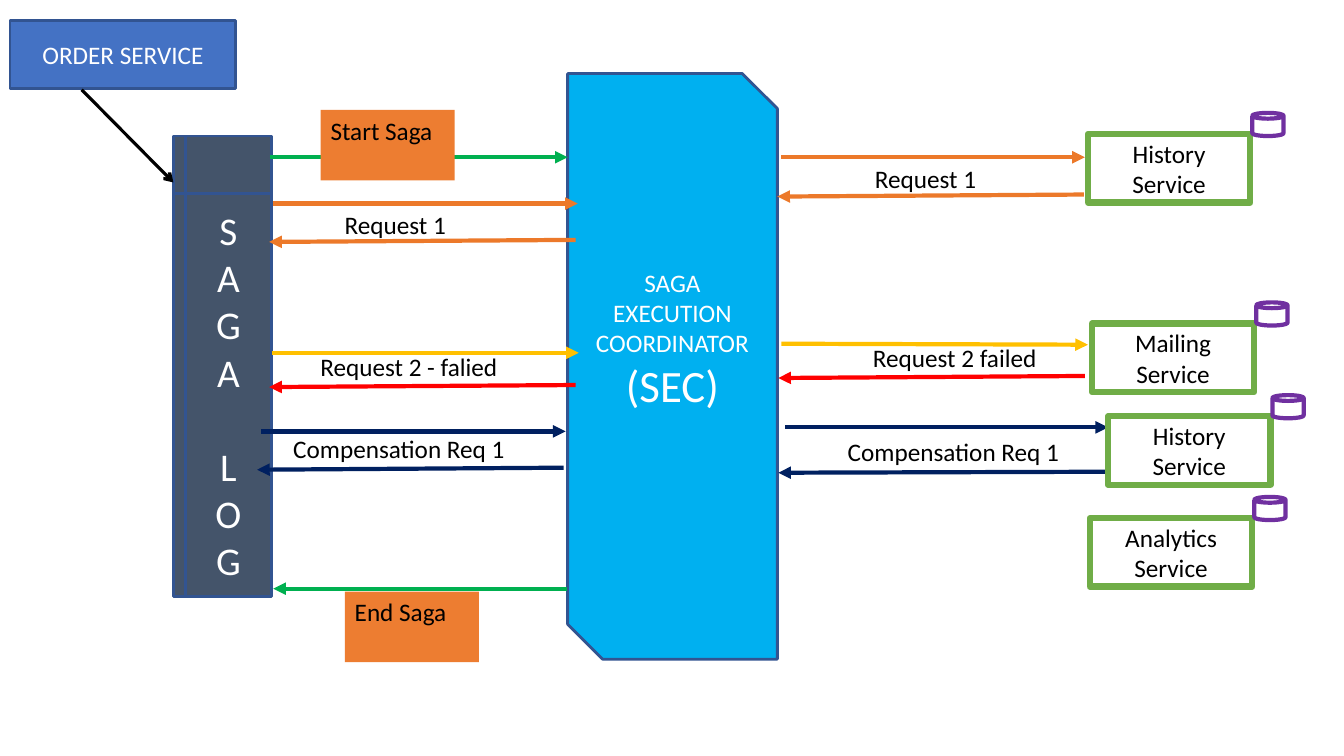
from dataclasses import dataclass
from lxml.etree import SubElement
from pptx import Presentation
from pptx.dml.color import RGBColor as Rgb
from pptx.enum.shapes import MSO_CONNECTOR as Link, MSO_SHAPE as Shape
from pptx.enum.text import MSO_ANCHOR as Anchor, PP_ALIGN as Align
from pptx.oxml.ns import qn
from pptx.util import Inches, Pt


@dataclass(frozen=True)
class Theme:
    font: str = "Calibri"
    body: int = 18
    large: int = 28
    huge: int = 32
    white: str = "FFFFFF"
    black: str = "000000"
    blue: str = "4472C4"
    edge: str = "325491"
    slate: str = "44546A"
    sky: str = "00B0F0"
    lime: str = "70AD47"
    violet: str = "7030A0"
    tag: str = "ED7D31"
    green: str = "00B050"
    orange: str = "EC792A"
    gold: str = "FFC000"
    red: str = "FF0000"
    navy: str = "002060"


class Board:
    def __init__(self, theme, slide):
        self.theme = theme
        self.shapes = slide.shapes

    def letter(self, shape, text, size, color, align, anchor):
        frame = shape.text_frame
        frame.word_wrap = True
        frame.vertical_anchor = anchor
        frame.text = text
        for par in frame.paragraphs:
            par.alignment = align
            for run in par.runs:
                run.font.name = self.theme.font
                run.font.size = Pt(size)
                run.font.color.rgb = Rgb.from_string(color)

    def box(self, kind, left, top, width, height, fill, edge=None, weight=2):
        shape = self.shapes.add_shape(
            kind, Inches(left), Inches(top), Inches(width), Inches(height))
        shape.shadow.inherit = False
        shape.fill.solid()
        shape.fill.fore_color.rgb = Rgb.from_string(fill)
        if edge:
            shape.line.color.rgb = Rgb.from_string(edge)
            shape.line.width = Pt(weight)
        else:
            shape.line.fill.background()
        return shape

    def block(self, kind, place, text, fill, size=None):
        shape = self.box(kind, *place, fill, self.theme.edge)
        self.letter(shape, text, size or self.theme.body, self.theme.white,
                    Align.CENTER, Anchor.MIDDLE)
        return shape

    def service(self, left, top, text):
        look = self.theme
        shape = self.box(Shape.RECTANGLE, left, top, 1.61, 0.68,
                         look.white, look.lime, 4.5)
        self.letter(shape, text, look.body, look.black, Align.CENTER, Anchor.MIDDLE)
        self.box(Shape.CAN, left + 1.63, top - 0.21, 0.31, 0.23,
                 look.white, look.violet, 3)

    def tag(self, left, top, text):
        look = self.theme
        shape = self.box(Shape.RECTANGLE, left, top, 1.33, 0.7, look.tag)
        self.letter(shape, text, look.body, look.black, Align.LEFT, Anchor.TOP)

    def label(self, left, top, width, text):
        shape = self.shapes.add_textbox(
            Inches(left), Inches(top), Inches(width), Inches(0.7))
        self.letter(shape, text, self.theme.body, self.theme.black,
                    Align.LEFT, Anchor.TOP)

    def arrow(self, x1, y1, x2, y2, color, weight=3, head="triangle"):
        line = self.shapes.add_connector(
            Link.STRAIGHT, Inches(x1), Inches(y1), Inches(x2), Inches(y2))
        line.line.color.rgb = Rgb.from_string(color)
        line.line.width = Pt(weight)
        props = line.element.spPr
        SubElement(props.find(qn("a:ln")), qn("a:tailEnd"), type=head)
        SubElement(props, qn("a:effectLst"))


def main():
    deck = Presentation()
    deck.slide_width, deck.slide_height = Inches(13.33), Inches(7.5)
    look = Theme()
    board = Board(look, deck.slides.add_slide(deck.slide_layouts[6]))

    board.block(Shape.RECTANGLE, (0.1, 0.2, 2.24, 0.68), "ORDER SERVICE", look.blue)
    log = board.block(Shape.FLOWCHART_INTERNAL_STORAGE, (1.72, 1.35, 0.97, 4.57),
                      "\n".join("SAGALOG"), look.slate, look.large)
    log.text_frame.paragraphs[4].space_before = Pt(34)

    sec = board.block(Shape.SNIP_2_DIAG_RECTANGLE, (5.63, 0.73, 2.08, 5.81),
                      "SAGA\nEXECUTION\nCOORDINATOR\n(SEC)", look.sky)
    sec.adjustments[0], sec.adjustments[1] = 0, 0.167
    sec.text_frame.margin_bottom = Inches(0.59)
    sec.text_frame.paragraphs[-1].runs[0].font.size = Pt(look.huge)

    for flow in (
        (2.68, 1.56, 5.63, 1.56, look.green),
        (2.71, 2.02, 5.73, 2.02, look.orange),
        (5.71, 2.38, 2.67, 2.4, look.orange),
        (2.7, 3.5, 5.74, 3.5, look.gold),
        (5.71, 3.82, 2.67, 3.84, look.red),
        (2.59, 4.28, 5.61, 4.28, look.navy),
        (5.59, 4.64, 2.55, 4.66, look.navy),
        (5.62, 5.84, 2.71, 5.84, look.green),
        (7.75, 1.56, 10.76, 1.56, look.orange),
        (10.75, 1.93, 7.71, 1.95, look.orange),
        (7.75, 3.41, 10.79, 3.42, look.gold),
        (10.76, 3.73, 7.72, 3.75, look.red),
        (7.79, 4.24, 10.99, 4.24, look.navy),
        (10.99, 4.68, 7.72, 4.69, look.navy),
    ):
        board.arrow(*flow)
    board.arrow(0.81, 0.89, 1.72, 1.81, look.black, 2.25, "arrow")

    for note in (
        (3.32, 2.03, 1.33, "Request 1"),
        (8.58, 1.57, 1.33, "Request 1"),
        (8.56, 3.35, 2.06, "Request 2 failed"),
        (3.08, 3.44, 2.24, "Request 2 - falied"),
        (8.31, 4.28, 2.43, "Compensation Req 1"),
        (2.81, 4.25, 2.52, "Compensation Req 1"),
    ):
        board.label(*note)

    board.tag(3.18, 1.09, "Start Saga")
    board.tag(3.42, 5.87, "End Saga")

    for left, top, name in (
        (10.79, 1.33, "History"),
        (10.83, 3.21, "Mailing"),
        (10.81, 5.14, "Analytics"),
        (10.99, 4.13, "History"),
    ):
        board.service(left, top, f"{name} Service")

    deck.save("out.pptx")


if __name__ == "__main__":
    main()
